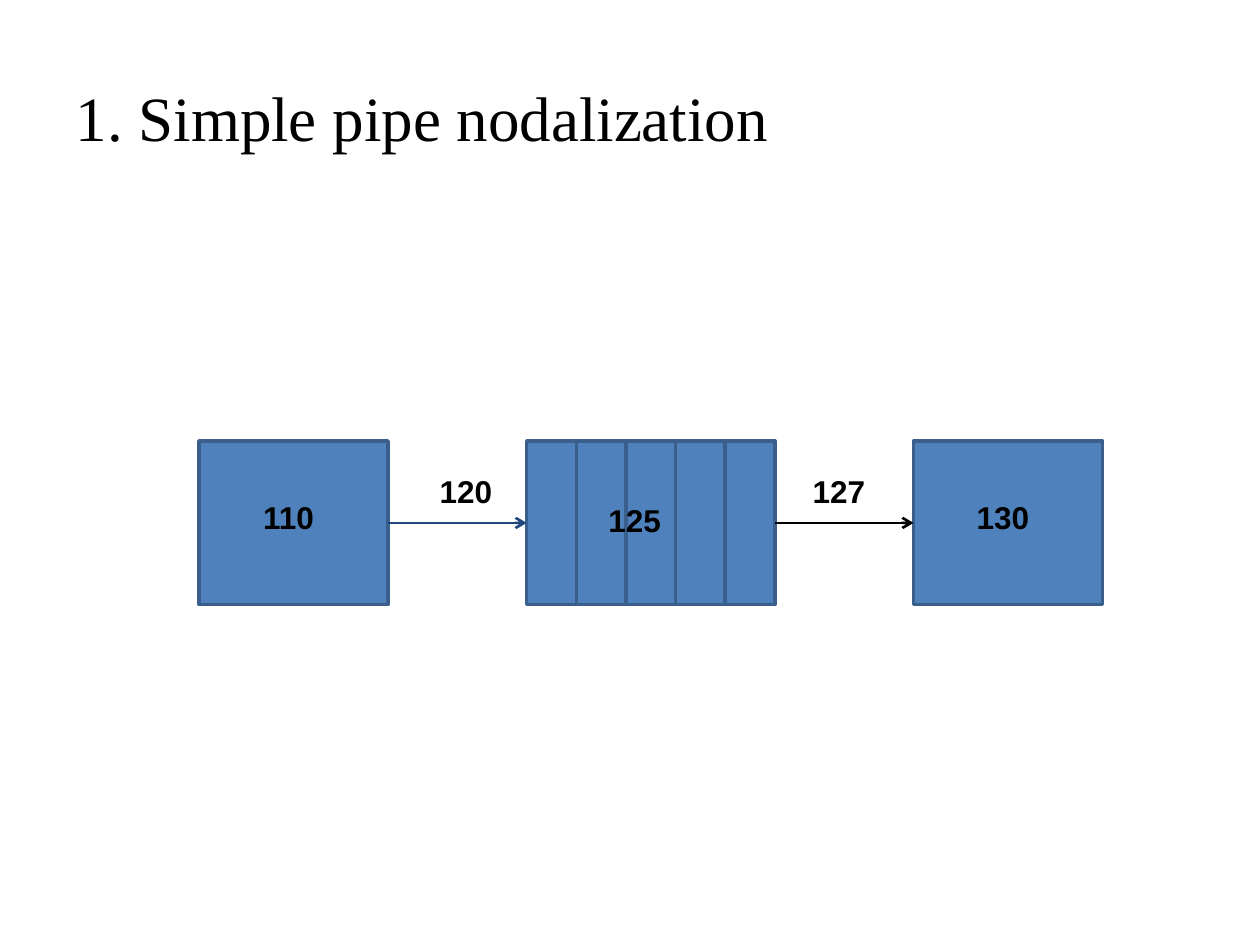
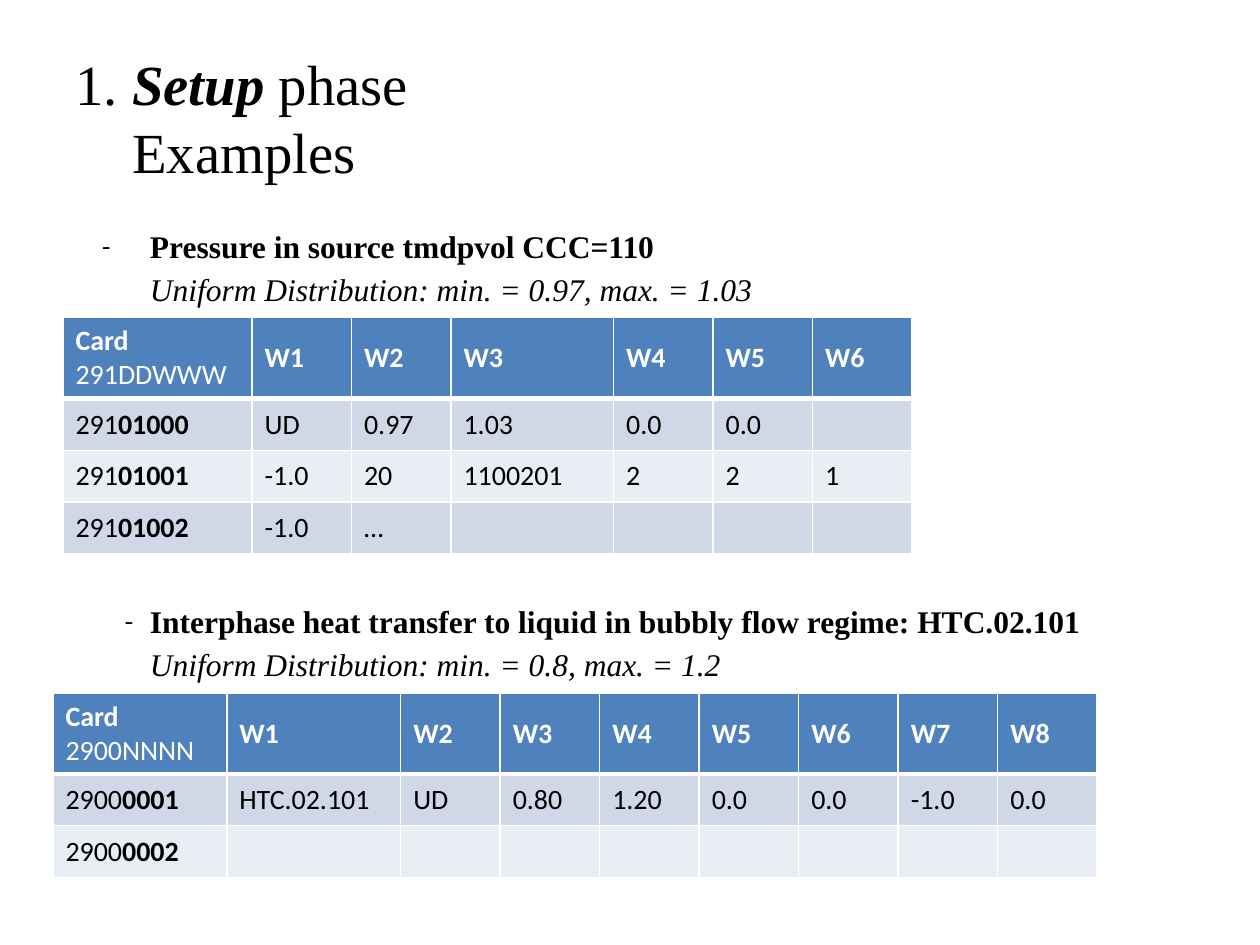
from dataclasses import dataclass

from lxml import etree
from pptx import Presentation
from pptx.dml.color import RGBColor
from pptx.enum.shapes import MSO_CONNECTOR, MSO_SHAPE
from pptx.enum.text import MSO_ANCHOR, MSO_AUTO_SIZE, PP_ALIGN
from pptx.oxml.ns import qn
from pptx.util import Inches, Pt

RECTANGLE = MSO_SHAPE.RECTANGLE
STRAIGHT = MSO_CONNECTOR.STRAIGHT
MIDDLE = MSO_ANCHOR.MIDDLE
LEFT, CENTER = PP_ALIGN.LEFT, PP_ALIGN.CENTER
NO_FIT, GROW = MSO_AUTO_SIZE.NONE, MSO_AUTO_SIZE.SHAPE_TO_FIT_TEXT

TITLE_ONLY, TITLE_AND_BODY = 5, 1
BOLD = {"bold": True}
ITALIC = {"italic": True}
BOLD_ITALIC = {**BOLD, **ITALIC}


@dataclass(frozen=True)
class Theme:
    black: str = "000000"
    white: str = "FFFFFF"
    blue: str = "4F81BD"
    outline: str = "3A5F8C"
    navy: str = "1F497D"
    bands: tuple = ("D0D8E8", "E9EDF4")
    serif: str = "Times New Roman"
    sans: str = "Arial"
    table_font: str = "Calibri"
    title_size: float = 36
    small_title_size: float = 32.4
    text_size: float = 18
    table_size: float = 16


def apply_format(target, values):
    for name, value in values.items():
        setattr(target, name, value)


def add_runs(paragraph, runs, color, **values):
    for text, emphasis in runs:
        run = paragraph.add_run()
        run.text = text
        apply_format(run.font, {"bold": False, "italic": False, **values, **emphasis})
        run.font.color.rgb = RGBColor.from_string(color)


def paragraph_at(frame, index):
    return frame.paragraphs[0] if index == 0 else frame.add_paragraph()


def set_indent(paragraph, margin, indent=0):
    properties = paragraph._p.get_or_add_pPr()
    for name, length in {"marL": margin, "indent": indent}.items():
        properties.set(name, str(Inches(length)))
    return properties


def add_child(parent, tag, **attributes):
    return etree.SubElement(parent, qn(tag), attributes)


class SlideBuilder:
    def __init__(self, presentation, theme):
        self.presentation = presentation
        self.theme = theme
        self.slide = None
        self.group = None

    def new_slide(self, layout):
        self.slide = self.presentation.slides.add_slide(
            self.presentation.slide_layouts[layout])

    def new_group(self):
        self.group = self.slide.shapes.add_group_shape().shapes

    def place(self, shape, left, top, width, height):
        apply_format(shape, {"left": Inches(left), "top": Inches(top),
                             "width": Inches(width), "height": Inches(height)})

    def title(self, lines, size, hanging=0):
        shape = self.slide.shapes.title
        self.place(shape, 0.5, 0.3, 9, 1.25)
        frame = shape.text_frame
        apply_format(frame, {"word_wrap": True, "auto_size": NO_FIT,
                             "vertical_anchor": MIDDLE})
        for index, runs in enumerate(lines):
            paragraph = paragraph_at(frame, index)
            paragraph.alignment = LEFT
            set_indent(paragraph, hanging if index else 0)
            add_runs(paragraph, runs, self.theme.black,
                     name=self.theme.serif, size=Pt(size))

    def body(self, items):
        shape = self.slide.placeholders[1]
        self.place(shape, 0.5, 1.75, 9, 4.95)
        frame = shape.text_frame
        apply_format(frame, {"word_wrap": True, "auto_size": NO_FIT})
        for index, (text, emphasis, hanging, space) in enumerate(items):
            paragraph = paragraph_at(frame, index)
            apply_format(paragraph, {"alignment": LEFT, "space_before": Pt(space)})
            properties = set_indent(paragraph, 0.59, -hanging)
            if hanging:
                add_child(properties, "a:buSzPct", val="80000")
                add_child(properties, "a:buFont", typeface=self.theme.serif)
                add_child(properties, "a:buChar", char="-")
            else:
                add_child(properties, "a:buNone")
            add_runs(paragraph, [(text, emphasis)], self.theme.black,
                     name=self.theme.serif, size=Pt(self.theme.text_size))

    def box(self, left, top, width, height):
        shape = self.group.add_shape(RECTANGLE, *map(Inches, (left, top, width, height)))
        shape.shadow.inherit = False
        shape.fill.solid()
        shape.fill.fore_color.rgb = RGBColor.from_string(self.theme.blue)
        shape.line.color.rgb = RGBColor.from_string(self.theme.outline)
        shape.line.width = Pt(2)

    def label(self, text, left, top, width, alignment=LEFT):
        shape = self.group.add_textbox(*map(Inches, (left, top, width, 0.4)))
        frame = shape.text_frame
        apply_format(frame, {"word_wrap": True, "auto_size": GROW})
        paragraph = frame.paragraphs[0]
        paragraph.alignment = alignment
        add_runs(paragraph, [(text, BOLD)], self.theme.black,
                 name=self.theme.sans, size=Pt(self.theme.text_size))

    def arrow(self, start, end, height, color):
        connector = self.group.add_connector(
            STRAIGHT, *map(Inches, (start, height, end, height)))
        connector.line.color.rgb = RGBColor.from_string(color)
        connector.line.width = Pt(1.5)
        add_child(connector.line._get_or_add_ln(), "a:tailEnd", type="arrow")
        add_child(connector._element.spPr, "a:effectLst")

    def borders(self, cell, **widths):
        properties = cell._tc.get_or_add_tcPr()
        for side in "LRTB":
            line = add_child(properties, f"a:ln{side}", w=str(Pt(widths.get(side, 1))))
            fill = add_child(line, "a:solidFill")
            add_child(fill, "a:srgbClr", val=self.theme.white)

    def cell(self, cell, lines, row):
        theme = self.theme
        self.borders(cell, **{0: {"B": 3}, 1: {"T": 3}}.get(row, {}))
        cell.fill.solid()
        fill = theme.bands[(row - 1) % 2] if row else theme.blue
        cell.fill.fore_color.rgb = RGBColor.from_string(fill)
        cell.vertical_anchor = MIDDLE
        for index, runs in enumerate(lines):
            add_runs(paragraph_at(cell.text_frame, index), runs,
                     theme.black if row else theme.white,
                     name=theme.table_font, size=Pt(theme.table_size))

    def card_table(self, left, top, widths, card, prefix, records):
        heights = [0.63] + [0.41] * len(records)
        table = self.slide.shapes.add_table(
            len(heights), len(widths),
            *map(Inches, (left, top, sum(widths), sum(heights)))).table
        for column, width in zip(table.columns, widths):
            column.width = Inches(width)
        for row, height in zip(table.rows, heights):
            row.height = Inches(height)
        words = [[[(f"W{number}", BOLD)]] for number in range(1, len(widths))]
        rows = [[[[("Card", BOLD)], [(card, {})]]] + words]
        for number, *values in records:
            values += [""] * (len(widths) - 1 - len(values))
            rows.append([[[(prefix, {}), (number, BOLD)]]]
                        + [[[(value, {})]] if value else [] for value in values])
        for row, cells in enumerate(rows):
            for column, lines in enumerate(cells):
                self.cell(table.cell(row, column), lines, row)


def build_nodalization(builder):
    theme = builder.theme
    builder.new_slide(TITLE_ONLY)
    builder.title([[("1. Simple pipe nodalization", {})]], theme.title_size)
    builder.new_group()
    top, height, volume_width = 3.5, 1.3, 1.5
    source, pipe, sink = 1.58, 4.18, 7.25
    pipe_width, node_count = 1.97, 5
    node_width = pipe_width / node_count
    for name, left in (("110", source), ("130", sink)):
        builder.box(left, top, volume_width, height)
        builder.label(name, left + 0.16, 3.9, 1.1, CENTER)
    for node in range(node_count):
        builder.box(pipe + node * node_width, top, node_width, height)
    middle = top + height / 2
    builder.arrow(source + volume_width, pipe, middle, theme.navy)
    builder.arrow(pipe + pipe_width, sink, middle, theme.black)
    for name, left, label_top in (("125", 4.73, 3.93), ("120", 3.39, 3.7),
                                  ("127", 6.35, 3.7)):
        builder.label(name, left, label_top, 0.98)


def build_setup_examples(builder):
    builder.new_slide(TITLE_AND_BODY)
    builder.title([[("1. ", {}), ("Setup", BOLD_ITALIC), (" phase", {})],
                   [("Examples", {})]], builder.theme.small_title_size, 0.45)
    builder.body([
        ("Pressure in source tmdpvol CCC=110", BOLD, 0.38, 2),
        ("Uniform Distribution: min. = 0.97, max. = 1.03", ITALIC, 0, 2.8),
        ("Interphase heat transfer to liquid in bubbly flow regime: HTC.02.101",
         BOLD, 0.2, 168.4),
        ("Uniform Distribution: min. = 0.8, max. = 1.2", ITALIC, 0, 2.8),
    ])
    narrow = 0.79
    builder.card_table(
        0.5, 2.52, [1.5, narrow, narrow, 1.29] + [narrow] * 3, "291DDWWW", "291",
        [("01000", "UD", "0.97", "1.03", "0.0", "0.0"),
         ("01001", "-1.0", "20", "1100201", "2", "2", "1"),
         ("01002", "-1.0", "…")])
    builder.card_table(
        0.42, 5.5, [1.38] * 2 + [narrow] * 7, "2900NNNN", "2900",
        [("0001", "HTC.02.101", "UD", "0.80", "1.20", "0.0", "0.0", "-1.0", "0.0"),
         ("0002",)])


def main():
    presentation = Presentation()
    apply_format(presentation, {"slide_width": Inches(10), "slide_height": Inches(7.5)})
    builder = SlideBuilder(presentation, Theme())
    build_nodalization(builder)
    build_setup_examples(builder)
    presentation.save("out.pptx")


if __name__ == "__main__":
    main()
